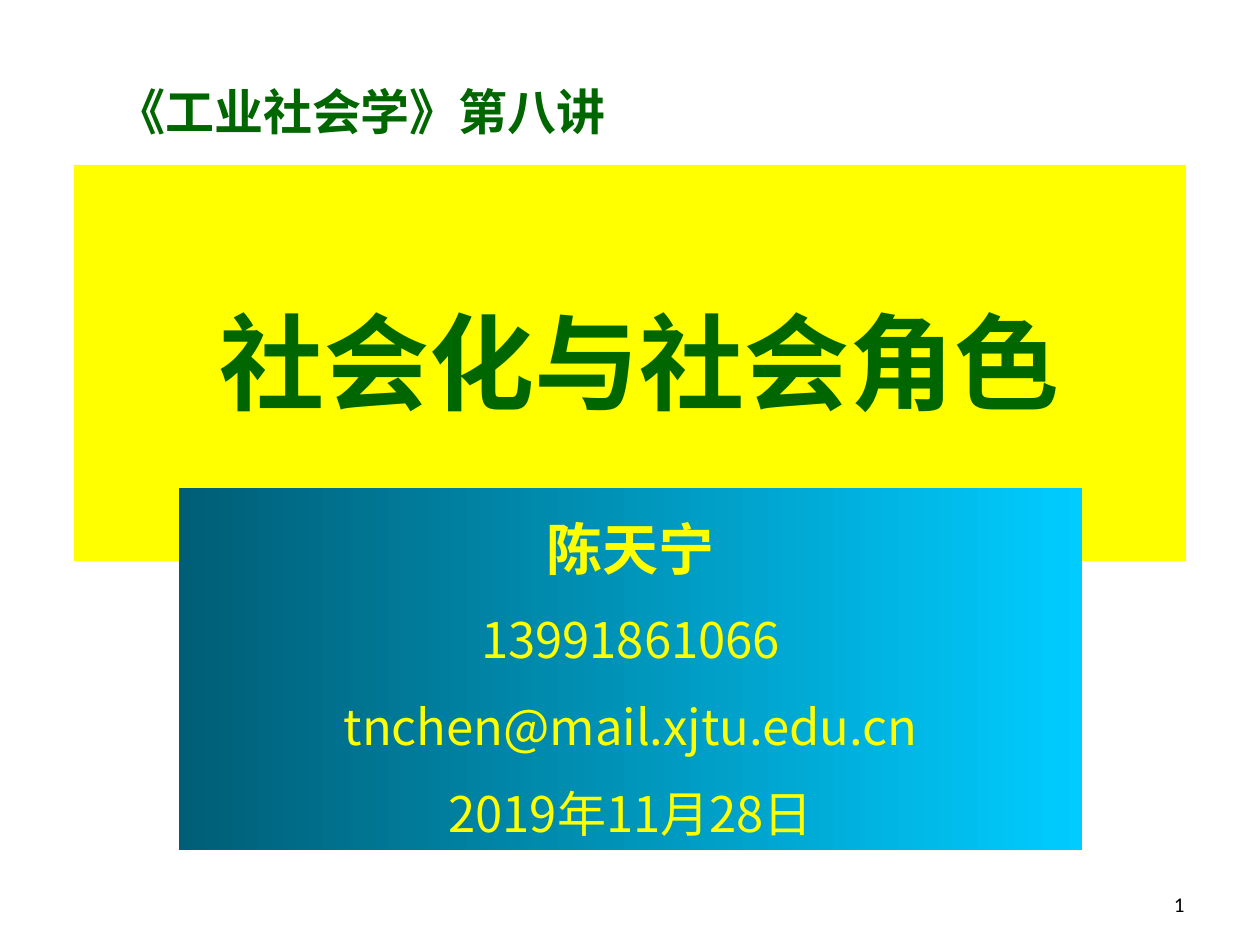
from pptx import Presentation, util as u
from pptx.dml.color import RGBColor
from pptx.enum import shapes, text
from pptx.oxml import parse_xml
from pptx.oxml.ns import nsdecls

PX = u.Inches(1) // 126
C = {"green": "006600", "yellow": "FFFF00", "black": "000000",
     "teal": "005E76", "cyan": "00CCFF"}
CJK = "Noto Sans CJK SC"

prs = Presentation()
prs.slide_width, prs.slide_height = u.Inches(10), u.Inches(7.5)
s = prs.slides.add_slide(prs.slide_layouts[6])


def write(sp, lines, color, align=text.PP_ALIGN.CENTER, anchor=text.MSO_ANCHOR.TOP,
          top=6, spacing=None, before=0):
    """Fill a shape with lines, each a list of (text, size, bold, font) runs."""
    tf = sp.text_frame
    tf.word_wrap = True
    tf.vertical_anchor = anchor
    tf.margin_top = top * PX
    for i, runs in enumerate(lines):
        p = tf.paragraphs[0] if i == 0 else tf.add_paragraph()
        p.alignment = align
        if spacing:
            p.line_spacing = spacing
        if i:
            p.space_before = u.Pt(before)
        for words, size, bold, font in runs:
            r = p.add_run()
            r.text = words
            r.font.size, r.font.bold, r.font.name = u.Pt(size), bold, font
            r.font.color.rgb = RGBColor.from_string(C[color])
            r.font._element.find("{*}latin").addnext(
                parse_xml(f'<a:ea {nsdecls("a")} typeface="{font}"/>'))


def px(*lengths):
    return [n * PX for n in lengths]


# Page number
sp = s.shapes.add_textbox(*px(903, 860, 294, 63))
write(sp, [[("1", 12, False, "Calibri")]], "black",
      align=text.PP_ALIGN.RIGHT, anchor=text.MSO_ANCHOR.BOTTOM)

# Title panel
title = s.shapes.add_shape(shapes.MSO_SHAPE.RECTANGLE, *px(74, 165, 1112, 396))
title.fill.solid()
title.fill.fore_color.rgb = RGBColor.from_string(C["yellow"])
write(title, [[(" ", 48, True, "Calibri"), ("社会化与社会角色", 60, True, CJK)]],
      "green", spacing=2.0)

# Course heading
sp = s.shapes.add_textbox(*px(104, 76, 649, 72))
write(sp, [[("《工业社会学》第八讲", 28, True, CJK)]], "green",
      align=text.PP_ALIGN.LEFT, anchor=text.MSO_ANCHOR.MIDDLE, top=4)

# Speaker panel
panel = s.shapes.add_shape(shapes.MSO_SHAPE.RECTANGLE, *px(179, 488, 903, 362))
panel.fill.gradient()
panel.fill.gradient_angle = 0
for stop, position, name in zip(panel.fill.gradient_stops, (0, 1), ("teal", "cyan")):
    stop.position = position
    stop.color.rgb = RGBColor.from_string(C[name])
details = ["13991861066", "tnchen@mail.xjtu.edu.cn", "2019年11月28日"]
write(panel, [[("陈天宁", 32, True, CJK)]] + [[(d, 28, False, CJK)] for d in details],
      "yellow", spacing=1.3, before=6)

for sp in (title, panel):
    sp.line.fill.background()
    sp.shadow.inherit = False

prs.save("out.pptx")
